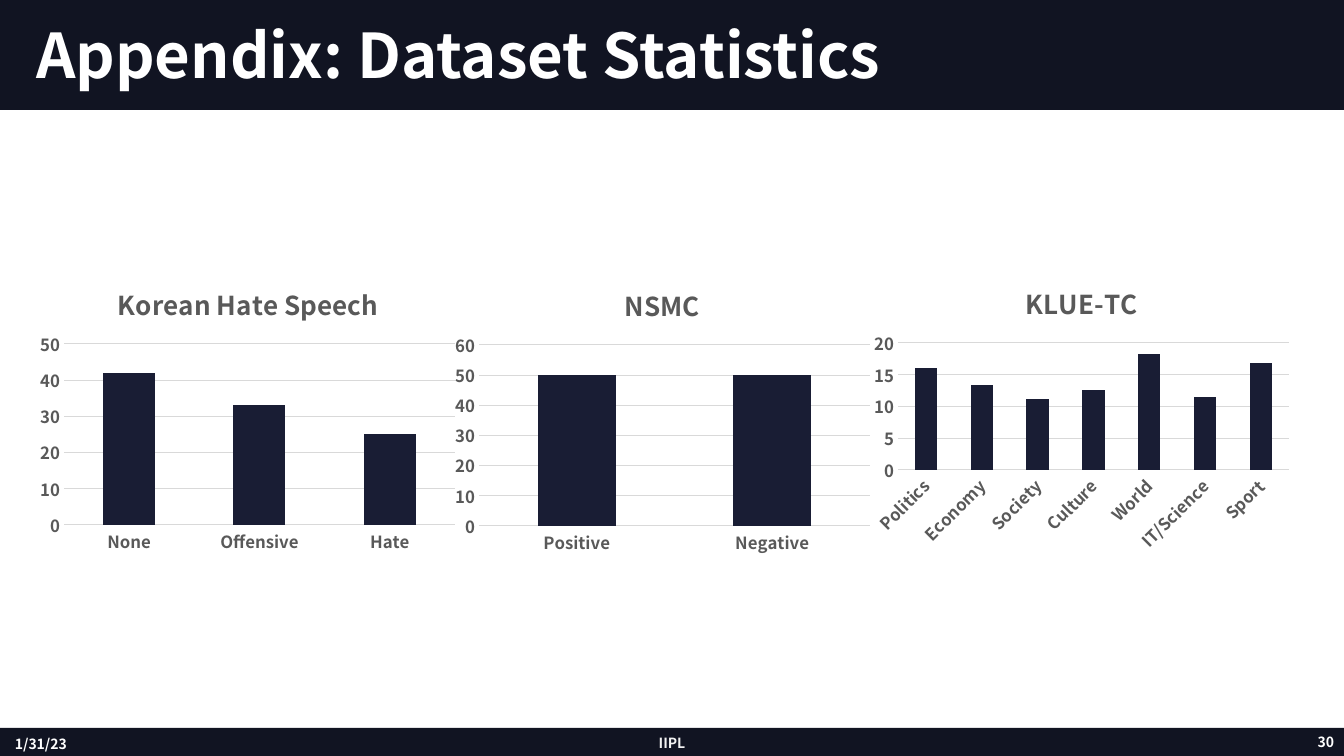
"""Build the dataset statistics appendix slide with three column charts."""
import dataclasses

import lxml.etree
import pptx
import pptx.chart.data
import pptx.dml.color
import pptx.enum.chart
import pptx.enum.shapes
import pptx.enum.text
import pptx.oxml.ns
import pptx.util


@dataclasses.dataclass(frozen=True)
class Theme:
    font: str = "Noto Sans CJK KR"
    bar: str = "111422"
    column: str = "191D34"
    white: str = "FFFFFF"
    footer: str = "F2F2F2"
    label: str = "595959"
    grid: str = "D9D9D9"
    title_size: float = 44
    chart_title_size: float = 18.6
    axis_size: float = 12
    footer_size: float = 10


theme = Theme()
color = pptx.dml.color.RGBColor.from_string
alignment = pptx.enum.text.PP_ALIGN
qn = pptx.oxml.ns.qn
EMU_PER_PX = 914400 / 100.8
SLIDE_WIDTH, SLIDE_HEIGHT = 1344, 756
CHART_WIDTH, CHART_HEIGHT = 431, 299
PLOT_LEFT, PLOT_TOP, PLOT_WIDTH = 33, 83, 391
CHART_TITLE_TOP = 16


def px(*lengths):
    """Turn pixel lengths into EMU."""
    return [pptx.util.Emu(round(length * EMU_PER_PX)) for length in lengths]


def style_font(font, size, hex_color):
    """Apply the bold theme font."""
    font.name = theme.font
    font.size = pptx.util.Pt(size)
    font.bold = True
    font.color.rgb = color(hex_color)


presentation = pptx.Presentation()
presentation.slide_width, presentation.slide_height = px(SLIDE_WIDTH, SLIDE_HEIGHT)
slide = presentation.slides.add_slide(presentation.slide_layouts[5])

for top, height in ((0, 110), (728, 28)):
    bar = slide.shapes.add_shape(
        pptx.enum.shapes.MSO_SHAPE.RECTANGLE, *px(0, top, SLIDE_WIDTH, height))
    bar.shadow.inherit = False
    bar.fill.solid()
    bar.fill.fore_color.rgb = color(theme.bar)
    bar.line.fill.background()

title = slide.shapes.title
title.element.getparent().append(title.element)
title.left, title.top, title.width, title.height = px(26, 20, 1280, 77)
title.text_frame.text = "Appendix: Dataset Statistics"
title.text_frame.auto_size = pptx.enum.text.MSO_AUTO_SIZE.NONE
title.text_frame.vertical_anchor = pptx.enum.text.MSO_ANCHOR.MIDDLE
title_paragraph = title.text_frame.paragraphs[0]
title_paragraph.alignment = alignment.LEFT
title_paragraph.line_spacing = 0.9
style_font(title_paragraph.runs[0].font, theme.title_size, theme.white)

footers = (
    ("1/31/23", 5, 724, 115, alignment.LEFT, theme.white),
    ("IIPL", 445, 723, 454, alignment.CENTER, theme.footer),
    ("30", 1250, 722, 94, alignment.RIGHT, theme.white),
)
for text, left, top, width, align, text_color in footers:
    text_frame = slide.shapes.add_textbox(*px(left, top, width, 40)).text_frame
    text_frame.word_wrap = True
    text_frame.vertical_anchor = pptx.enum.text.MSO_ANCHOR.MIDDLE
    text_frame.text = text
    paragraph = text_frame.paragraphs[0]
    paragraph.alignment = align
    style_font(paragraph.runs[0].font, theme.footer_size, text_color)

datasets = (
    ("Korean Hate Speech", 31, 261, 82, 181, 50, 10, 0,
     {"None": 42, "Offensive": 33, "Hate": 25}),
    ("NSMC", 446, 262, 174, 181, 60, 10, 0,
     {"Positive": 50, "Negative": 50}),
    ("KLUE-TC", 865, 260, 156, 127, 20, 5, -45,
     {"Politics": 16.1, "Economy": 13.4, "Society": 11.2, "Culture": 12.6,
      "World": 18.2, "IT/Science": 11.5, "Sport": 16.9}),
)
for name, left, top, title_left, plot_height, maximum, step, angle, shares in datasets:
    chart_data = pptx.chart.data.CategoryChartData()
    chart_data.categories = list(shares)
    chart_data.add_series("Series 1", list(shares.values()))
    chart = slide.shapes.add_chart(
        pptx.enum.chart.XL_CHART_TYPE.COLUMN_STACKED,
        *px(left, top, CHART_WIDTH, CHART_HEIGHT), chart_data).chart
    chart.has_legend = False
    style_font(chart.font, theme.axis_size, theme.label)

    chart.has_title = True
    chart.chart_title.include_in_layout = False
    chart.chart_title.text_frame.text = name
    title_run = chart.chart_title.text_frame.paragraphs[0].runs[0]
    style_font(title_run.font, theme.chart_title_size, theme.label)

    plot = chart.plots[0]
    plot.gap_width = 150
    plot.overlap = 100
    plot.vary_by_categories = False
    plot.series[0].format.fill.solid()
    plot.series[0].format.fill.fore_color.rgb = color(theme.column)

    value_axis, category_axis = chart.value_axis, chart.category_axis
    value_axis.minimum_scale, value_axis.maximum_scale = 0, maximum
    value_axis.major_unit = step
    value_axis.has_major_gridlines = True
    value_axis.format.line.fill.background()
    for line in (value_axis.major_gridlines.format.line, category_axis.format.line):
        line.color.rgb = color(theme.grid)
        line.width = pptx.util.Pt(0.75)
    for axis in (value_axis, category_axis):
        axis.major_tick_mark = pptx.enum.chart.XL_TICK_MARK.NONE
        axis.minor_tick_mark = pptx.enum.chart.XL_TICK_MARK.NONE
        style_font(axis.tick_labels.font, theme.axis_size, theme.label)

    chart_node = chart.element.find(qn("c:chart"))
    plot_area = chart_node.find(qn("c:plotArea"))
    category_text = plot_area.find(qn("c:catAx")).find(qn("c:txPr"))
    category_text.find(qn("a:bodyPr")).set("rot", str(angle * 60000))

    layouts = (
        (chart_node.find(qn("c:title")), 1,
         {"xMode": "edge", "yMode": "edge", "x": title_left / CHART_WIDTH,
          "y": CHART_TITLE_TOP / CHART_HEIGHT}),
        (plot_area, 0,
         {"layoutTarget": "inner", "xMode": "edge", "yMode": "edge",
          "x": PLOT_LEFT / CHART_WIDTH, "y": PLOT_TOP / CHART_HEIGHT,
          "w": PLOT_WIDTH / CHART_WIDTH, "h": plot_height / CHART_HEIGHT}),
    )
    for parent, position, settings in layouts:
        for old_layout in parent.findall(qn("c:layout")):
            parent.remove(old_layout)
        layout = lxml.etree.Element(qn("c:layout"))
        manual = lxml.etree.SubElement(layout, qn("c:manualLayout"))
        for tag, setting in settings.items():
            lxml.etree.SubElement(manual, qn(f"c:{tag}")).set("val", str(setting))
        parent.insert(position, layout)

presentation.save("out.pptx")
